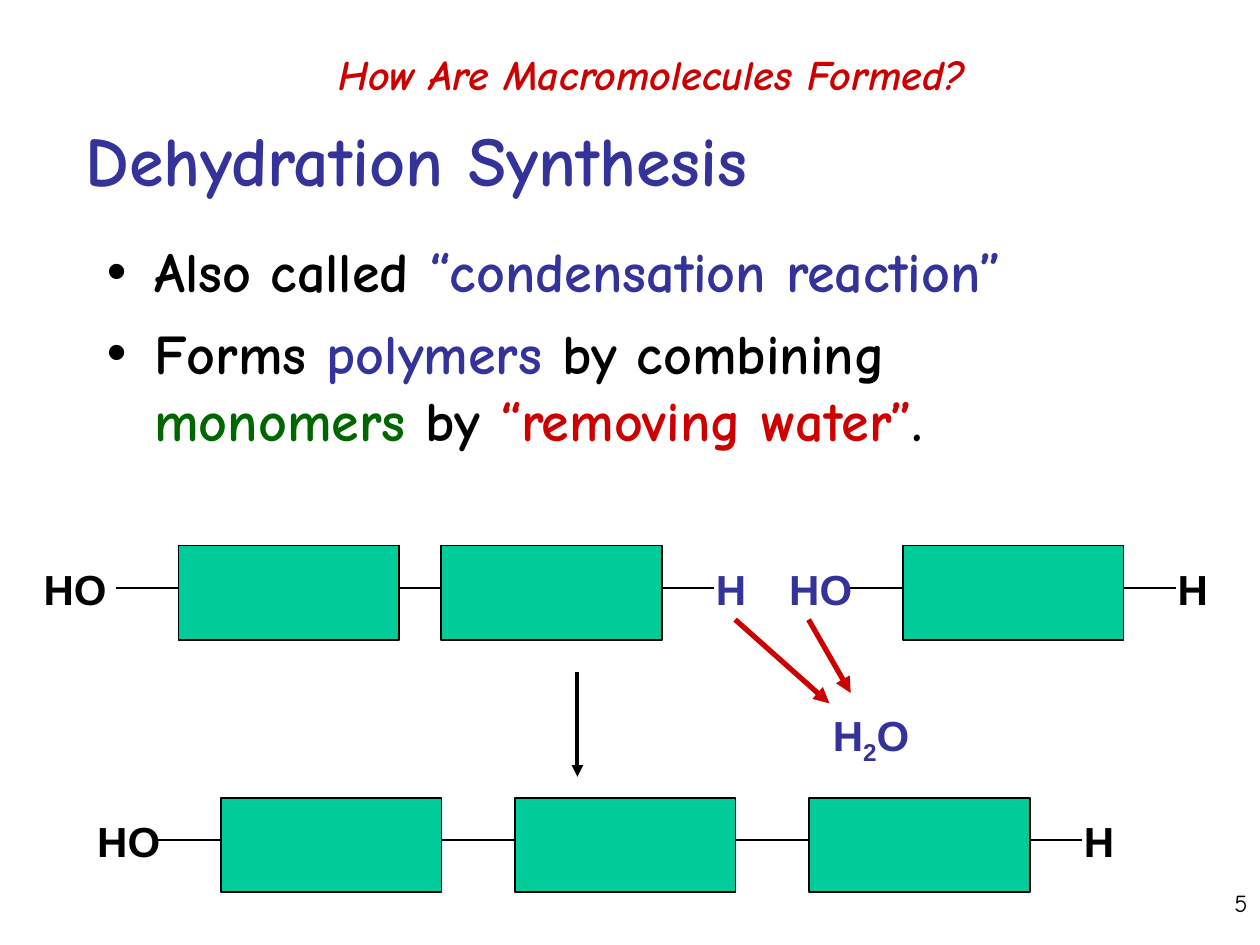
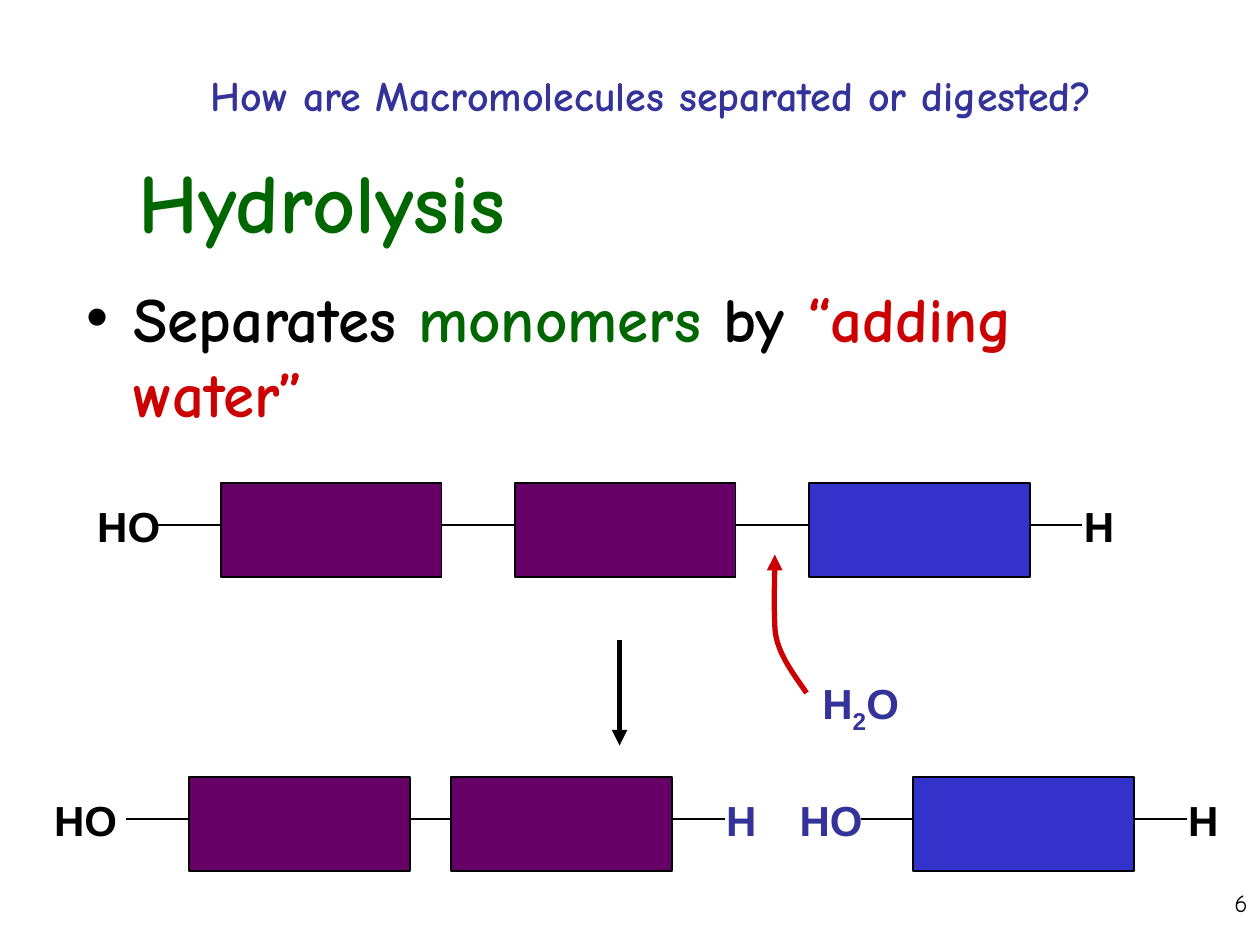
import itertools
from dataclasses import dataclass
from typing import Any, NamedTuple

import lxml.etree
import pptx
import pptx.dml.color
import pptx.enum.shapes
import pptx.enum.text
import pptx.oxml.ns
import pptx.shapes.autoshape
import pptx.slide
import pptx.text.text
import pptx.util

Cm = pptx.util.Cm
Pt = pptx.util.Pt
Color = pptx.dml.color.RGBColor
Align = pptx.enum.text.PP_ALIGN
Anchor = pptx.enum.text.MSO_ANCHOR
AutoSize = pptx.enum.text.MSO_AUTO_SIZE
qn = pptx.oxml.ns.qn


@dataclass(frozen=True)
class Theme:
    ink: Color = Color.from_string("000000")
    indigo: Color = Color.from_string("333399")
    green: Color = Color.from_string("006600")
    red: Color = Color.from_string("CC0000")
    teal: Color = Color.from_string("00CC99")
    purple: Color = Color.from_string("660066")
    blue: Color = Color.from_string("3333CC")
    text_font: str = "Comic Neue"
    label_font: str = "Arial"
    question_size: int = 24
    label_size: int = 24
    number_size: int = 14
    bond_width: float = 1
    arrow_width: float = 3


THEME = Theme()


class Box(NamedTuple):
    left: float
    top: float
    width: float
    height: float


class Span(NamedTuple):
    text: str
    color: Color = THEME.ink
    baseline: int = 0


class Point(NamedTuple):
    x: float
    y: float


@dataclass(frozen=True)
class Arrow:
    start: Point
    end: Point
    color: Color = THEME.ink
    width: float = THEME.arrow_width


@dataclass(frozen=True)
class Chain:
    """Units joined by bonds, with HO in front and H behind."""
    left: float
    top: float
    fills: tuple[Color, ...]
    pitch: float = 0
    lead_bond: float = 1.27
    label_offset: float = 2.74
    ho_color: Color = THEME.ink
    h_color: Color = THEME.ink


@dataclass(frozen=True)
class Page:
    number: str
    question: Span
    question_box: Box
    question_italic: bool
    title: Span
    title_box: Box
    title_size: int
    bullets: tuple[tuple[Span, ...], ...]
    body_box: Box
    body_size: int
    body_spacing: float
    chains: tuple[Chain, ...]
    arrows: tuple[Arrow, ...]
    water: Point
    curve: tuple[Point, ...] = ()


UNIT_WIDTH, UNIT_HEIGHT = 4.45, 1.9
BOND_DROP, TAIL_BOND = 0.85, 1.06
H_OFFSET, LABEL_DROP, LABEL_HEIGHT = 0.84, 0.23, 1.27
HO_WIDTH, H_WIDTH = 1.78, 1.12
NUMBER_BOX = Box(20.12, 17.78, 5.28, 1.27)


def apply(target: Any, values: dict[str, Any]) -> None:
    for name, value in values.items():
        setattr(target, name, value)


def lengths(box: Box) -> dict[str, pptx.util.Length]:
    return {name: Cm(value) for name, value in box._asdict().items()}


# Text

def write(paragraph: pptx.text.text._Paragraph, spans: tuple[Span, ...],
          font: dict[str, Any]) -> None:
    for span in spans:
        run = paragraph.add_run()
        run.text = span.text
        apply(run.font, font)
        run.font.color.rgb = span.color
        if span.baseline:
            run._r.get_or_add_rPr().set("baseline", str(span.baseline * 1000))


def add_text(slide: pptx.slide.Slide, box: Box, spans: tuple[Span, ...],
             font: dict[str, Any], frame: dict[str, Any],
             alignment: Align = Align.LEFT) -> None:
    shape = slide.shapes.add_textbox(*lengths(box).values())
    apply(shape.text_frame, frame)
    paragraph = shape.text_frame.paragraphs[0]
    paragraph.alignment = alignment
    write(paragraph, spans, font)


def add_label(slide: pptx.slide.Slide, box: Box, *spans: Span) -> None:
    add_text(slide, box, spans,
             {"name": THEME.label_font, "size": Pt(THEME.label_size), "bold": True},
             {"word_wrap": False, "auto_size": AutoSize.SHAPE_TO_FIT_TEXT})


def fill_placeholders(slide: pptx.slide.Slide, page: Page) -> None:
    title, body = slide.shapes.title, slide.placeholders[1]
    for shape, box in ((title, page.title_box), (body, page.body_box)):
        apply(shape, lengths(box))
        shape.text_frame.auto_size = AutoSize.NONE
    title.text_frame.vertical_anchor = Anchor.MIDDLE
    heading = title.text_frame.paragraphs[0]
    heading.alignment = Align.LEFT
    font = {"name": THEME.text_font, "bold": True}
    write(heading, (page.title,), font | {"size": Pt(page.title_size)})
    for index, spans in enumerate(page.bullets):
        frame = body.text_frame
        paragraph = frame.add_paragraph() if index else frame.paragraphs[0]
        paragraph.space_before = Pt(page.body_spacing if index else 0)
        write(paragraph, spans, font | {"size": Pt(page.body_size)})


# Lines and units

def style_line(shape: Any, color: Color, width: float, arrowhead: bool) -> None:
    shape.line.color.rgb = color
    shape.line.width = Pt(width)
    if arrowhead:
        line = shape.element.spPr.find(qn("a:ln"))
        lxml.etree.SubElement(line, qn("a:tailEnd")).set("type", "triangle")


def add_line(slide: pptx.slide.Slide, line: Arrow, arrowhead: bool = True) -> None:
    connector = slide.shapes.add_connector(
        pptx.enum.shapes.MSO_CONNECTOR.STRAIGHT,
        *(Cm(value) for value in (*line.start, *line.end)))
    style_line(connector, line.color, line.width, arrowhead)
    lxml.etree.SubElement(connector.element.spPr, qn("a:effectLst"))


def add_bond(slide: pptx.slide.Slide, start: float, end: float, y: float) -> None:
    add_line(slide, Arrow(Point(start, y), Point(end, y), width=THEME.bond_width), False)


def add_curve(slide: pptx.slide.Slide, points: tuple[Point, ...]) -> None:
    vertices = [(Cm(point.x), Cm(point.y)) for point in points]
    builder = slide.shapes.build_freeform(*vertices[0])
    builder.add_line_segments(vertices[1:], close=False)
    shape = builder.convert_to_shape()
    # Every three segments become one cubic curve
    outline = shape.element.spPr.find(".//" + qn("a:path"))
    segments = outline.findall(qn("a:lnTo"))
    for first in range(0, len(segments), 3):
        cubic = lxml.etree.SubElement(outline, qn("a:cubicBezTo"))
        for segment in segments[first:first + 3]:
            cubic.append(segment[0])
            outline.remove(segment)
    shape.shadow.inherit = False
    shape.fill.background()
    style_line(shape, THEME.red, THEME.arrow_width, True)


def add_chain(slide: pptx.slide.Slide, chain: Chain) -> None:
    bond_y = chain.top + BOND_DROP
    lefts = [chain.left + index * chain.pitch for index in range(len(chain.fills))]
    for left, fill in zip(lefts, chain.fills):
        box = Box(left, chain.top, UNIT_WIDTH, UNIT_HEIGHT)
        unit = slide.shapes.add_shape(
            pptx.enum.shapes.MSO_SHAPE.RECTANGLE, *lengths(box).values())
        unit.shadow.inherit = False
        unit.fill.solid()
        unit.fill.fore_color.rgb = fill
        style_line(unit, THEME.ink, THEME.bond_width, False)
    right = lefts[-1] + UNIT_WIDTH
    add_bond(slide, chain.left - chain.lead_bond, chain.left, bond_y)
    for left, following in itertools.pairwise(lefts):
        add_bond(slide, left + UNIT_WIDTH, following, bond_y)
    add_bond(slide, right, right + TAIL_BOND, bond_y)
    label_top = chain.top + LABEL_DROP
    add_label(slide, Box(chain.left - chain.label_offset, label_top, HO_WIDTH, LABEL_HEIGHT),
              Span("HO", chain.ho_color))
    add_label(slide, Box(right + H_OFFSET, label_top, H_WIDTH, LABEL_HEIGHT),
              Span("H", chain.h_color))


# Pages

def polymer(top: float, *fills: Color) -> Chain:
    return Chain(4.45, top, fills, pitch=5.93)


def separated(left: float, top: float, pair_fill: Color, single_fill: Color) -> tuple[Chain, Chain]:
    return (Chain(left, top, (pair_fill, pair_fill), pitch=5.29, label_offset=2.97,
                  h_color=THEME.indigo),
            Chain(left + 14.6, top, (single_fill,), lead_bond=TAIL_BOND, label_offset=2.54,
                  ho_color=THEME.indigo))


PAGES = (
    Page(
        number="5",
        question=Span("How Are Macromolecules Formed?", THEME.red),
        question_box=Box(2.34, 0.64, 21.59, 1.7),
        question_italic=True,
        title=Span("Dehydration Synthesis", THEME.indigo),
        title_box=Box(1.47, 2.34, 23.06, 1.7),
        title_size=40,
        bullets=(
            (Span("Also called "), Span("“condensation reaction”", THEME.indigo)),
            (Span("Forms "), Span("polymers", THEME.indigo), Span(" by combining "),
             Span("monomers", THEME.green), Span(" by "),
             Span("“removing water”", THEME.red), Span(".")),
        ),
        body_box=Box(1.9, 4.65, 21.59, 11.43),
        body_size=32,
        body_spacing=8,
        chains=(polymer(16.09, THEME.teal, THEME.teal, THEME.teal),
                *separated(3.6, 11, THEME.teal, THEME.teal)),
        arrows=(Arrow(Point(11.64, 13.55), Point(11.64, 15.66), width=2.25),
                Arrow(Point(14.82, 12.49), Point(16.72, 14.18), THEME.red),
                Arrow(Point(16.3, 12.49), Point(17.15, 13.97), THEME.red)),
        water=Point(16.54, 14.17),
    ),
    Page(
        number="6",
        question=Span("How are Macromolecules separated or digested?", THEME.indigo),
        question_box=Box(3.18, 1.06, 19.89, 1.7),
        question_italic=False,
        title=Span("Hydrolysis", THEME.green),
        title_box=Box(2.54, 3.18, 19.89, 1.7),
        title_size=48,
        bullets=((Span("Separates "), Span("monomers", THEME.green), Span(" by "),
                  Span("“adding water”", THEME.red)),),
        body_box=Box(1.48, 5.5, 22.43, 11.43),
        body_size=36,
        body_spacing=9,
        chains=(*separated(3.81, 15.66, THEME.purple, THEME.blue),
                polymer(9.74, THEME.purple, THEME.purple, THEME.blue)),
        arrows=(Arrow(Point(12.49, 12.91), Point(12.49, 15.03)),),
        water=Point(16.33, 13.54),
        curve=(Point(16.26, 13.97), Point(15.98, 13.56), Point(15.62, 13.11),
               Point(15.62, 12.6), Point(15.6, 12.12), Point(15.62, 11.63),
               Point(15.62, 11.18)),
    ),
)


def build_page(presentation: Any, page: Page) -> None:
    slide = presentation.slides.add_slide(presentation.slide_layouts[1])
    add_text(slide, NUMBER_BOX, (Span(page.number),),
             {"name": THEME.text_font, "size": Pt(THEME.number_size)},
             {"word_wrap": True}, Align.RIGHT)
    fill_placeholders(slide, page)
    for chain in page.chains:
        add_chain(slide, chain)
    for arrow in page.arrows:
        add_line(slide, arrow)
    if page.curve:
        add_curve(slide, page.curve)
    add_label(slide, Box(*page.water, 2.06, 1.42), Span("H", THEME.indigo),
              Span("2", THEME.indigo, -25), Span("O", THEME.indigo))
    add_text(slide, page.question_box, (page.question,),
             {"name": THEME.text_font, "size": Pt(THEME.question_size),
              "bold": True, "italic": page.question_italic},
             {"word_wrap": True, "vertical_anchor": Anchor.MIDDLE}, Align.CENTER)


def main() -> None:
    presentation = pptx.Presentation()
    apply(presentation, {"slide_width": Cm(25.4), "slide_height": Cm(19.05)})
    for page in PAGES:
        build_page(presentation, page)
    presentation.save("out.pptx")


if __name__ == "__main__":
    main()
